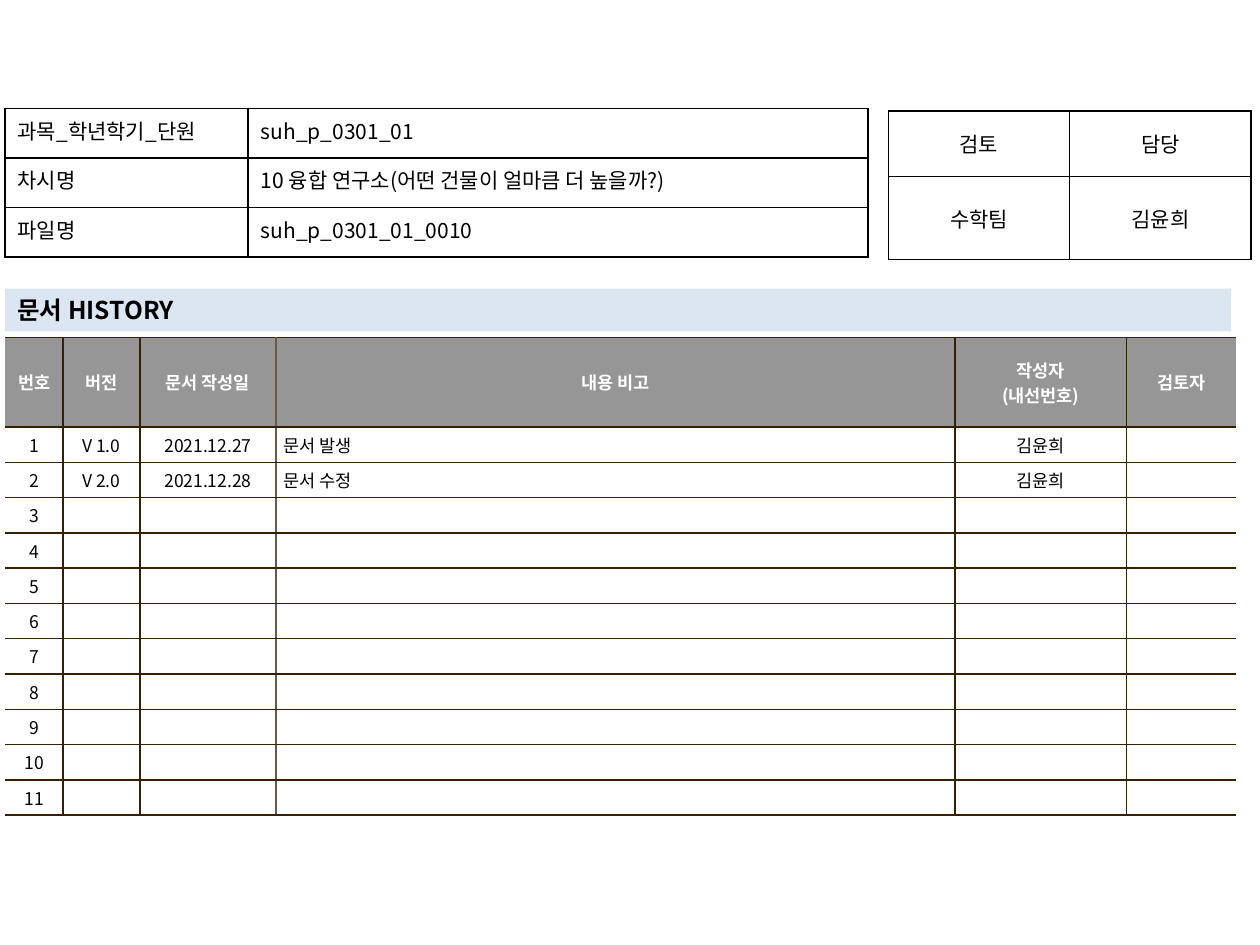
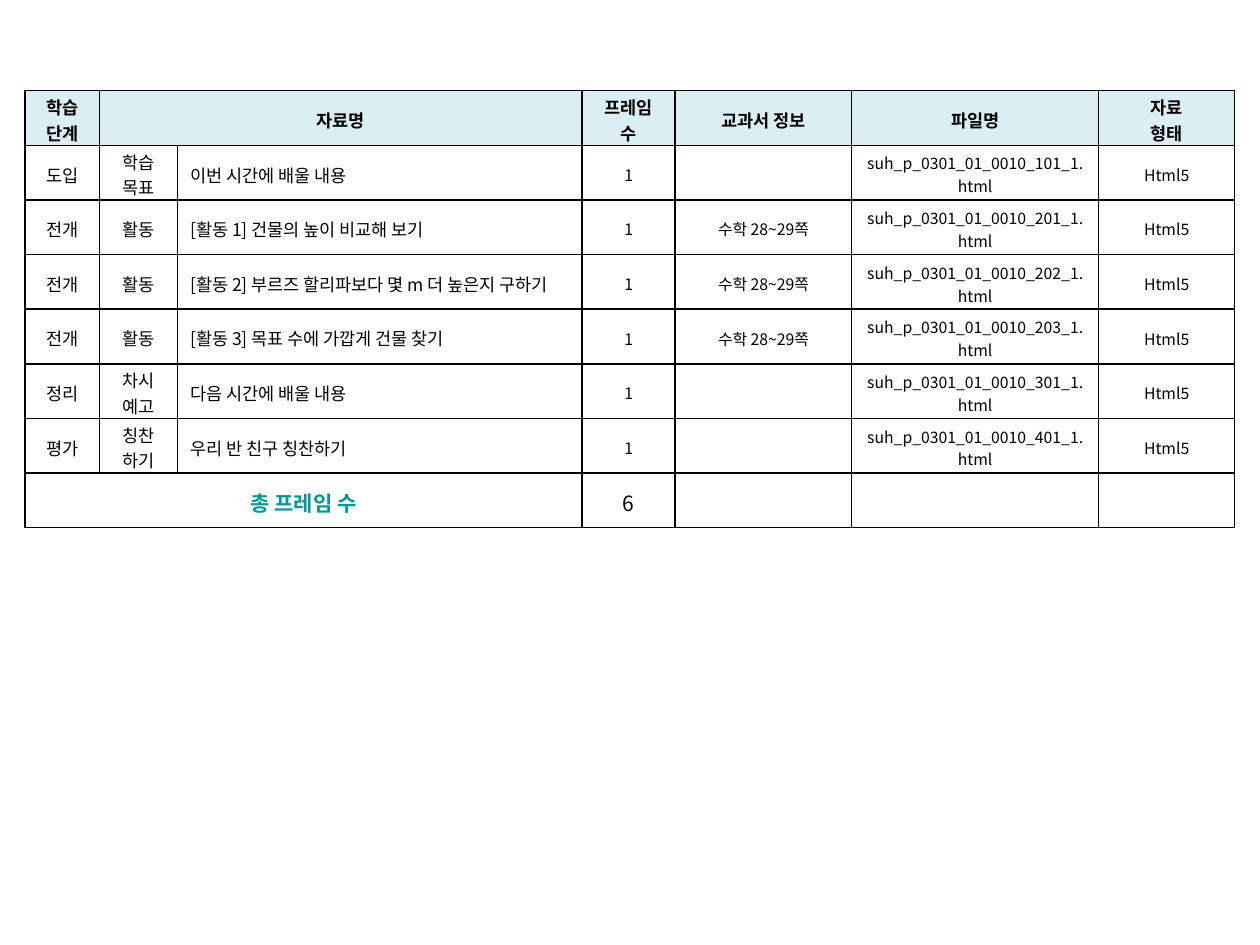
from lxml.etree import SubElement as Sub
from pptx import Presentation
from pptx.dml.color import RGBColor
from pptx.enum.shapes import MSO_SHAPE as Shape
from pptx.enum.text import MSO_ANCHOR as Anchor, PP_ALIGN as Align
from pptx.oxml.ns import qn
from pptx.util import Inches, Pt

WIDE, HIGH = Inches(10), Inches(7.5)
FONT = "Noto Sans CJK KR"
BLACK, WHITE, TEAL = "000000", "FFFFFF", "009999"
BROWN, TAUPE, GRAY = "362000", "645B4C", "969696"
BAND, HEAD = "DCE6F2", "DBEEF4"
LEFT, MID, JUST = Align.LEFT, Align.CENTER, Align.JUSTIFY


def color(code):
    return RGBColor.from_string(code)


def place(box):
    """Turn percentages of the slide into lengths."""
    return [round(part * full / 100) for part, full in zip(box, (WIDE, HIGH) * 2)]


def write(frame, text, size=10, ink=BLACK, bold=False, align=MID):
    for i, line in enumerate(text.split("\n")):
        para = frame.add_paragraph() if i else frame.paragraphs[0]
        para.alignment = align
        if not line:
            Sub(para._p, qn("a:endParaRPr"), sz=str(size * 100))
            continue
        run = para.add_run()
        run.text = line
        font = run.font
        font.name, font.size, font.bold = FONT, Pt(size), bold
        font.color.rgb = color(ink)
        Sub(font._element, qn("a:ea"), typeface=FONT)


def border(cell, edges):
    """Draw 1 pt edges; a side without a colour stays bare."""
    props = cell._tc.get_or_add_tcPr()
    for side in "LRTB":
        ink = edges.get(side)
        line = Sub(props, qn("a:ln" + side), w=str(Pt(1) if ink else 0))
        if ink:
            fill = Sub(line, qn("a:solidFill"))
            Sub(fill, qn("a:srgbClr"), val=ink)
        else:
            Sub(line, qn("a:noFill"))


def grid(slide, box, cols, rows, data, style, edge, pads, spans=()):
    """Place a table; cols and rows are relative sizes within the box."""
    left, top, width, height = place(box)
    frame = slide.shapes.add_table(len(rows), len(cols), left, top, width, height)
    table = frame.table
    table.first_row = table.horz_banding = False
    for col, part in zip(table.columns, cols):
        col.width = round(width * part / sum(cols))
    for row, part in zip(table.rows, rows):
        row.height = round(height * part / sum(rows))
    for r, line in enumerate(data):
        for c, text in enumerate(line):
            cell, form = table.cell(r, c), dict(style(r, c))
            fill = form.pop("fill", None)
            anchor = form.pop("anchor", Anchor.MIDDLE)
            border(cell, edge(r, c))
            if fill:
                cell.fill.solid()
                cell.fill.fore_color.rgb = color(fill)
            else:
                cell.fill.background()
            cell.vertical_anchor = anchor
            (cell.margin_left, cell.margin_top,
             cell.margin_right, cell.margin_bottom) = map(Inches, pads)
            write(cell.text_frame, text, **form)
    for r, start, end in spans:
        table.cell(r, start).merge(table.cell(r, end))


def boxed(r, c):
    return dict.fromkeys("LRTB", BLACK)


# Cover: file details, sign-off and document history
def details(slide, box):
    data = [["과목_학년학기_단원", "suh_p_0301_01"],
            ["차시명", "10 융합 연구소(어떤 건물이 얼마큼 더 높을까?)"],
            ["파일명", "suh_p_0301_01_0010"]]

    def style(r, c):
        return dict(size=12, align=LEFT if c else JUST, anchor=Anchor.TOP)

    grid(slide, box, [193, 492], [1] * 3, data, style, boxed, (.1, .05, .1, .05))


def signoff(slide, box):
    data = [["검토", "담당"], ["수학팀", "김윤희"]]
    grid(slide, box, [1, 1], [52, 66], data, lambda r, c: dict(size=12),
         boxed, (.1, .05, .1, .05))


def band(slide, box, text):
    bar = slide.shapes.add_shape(Shape.RECTANGLE, *place(box))
    bar.shadow.inherit = False
    bar.fill.solid()
    bar.fill.fore_color.rgb = color(BAND)
    bar.line.fill.background()
    frame = bar.text_frame
    frame.word_wrap = True
    frame.vertical_anchor = Anchor.MIDDLE
    write(frame, text, size=14, bold=True, align=LEFT)


def history(slide, box):
    count, cols = 11, [46, 61, 108, 539, 136, 87]
    last = len(cols) - 1
    data = [["번호", "버전", "문서 작성일", "내용 비고", "작성자\n(내선번호)", "검토자"],
            ["1", "V 1.0", "2021.12.27", "문서 발생", "김윤희", ""],
            ["2", "V 2.0", "2021.12.28", "문서 수정", "김윤희", ""]]
    data += [[str(n)] + [""] * last for n in range(len(data), count + 1)]

    def style(r, c):
        if r == 0:
            return dict(fill=GRAY, ink=WHITE, bold=True)
        return dict(fill=WHITE, align=LEFT if c == 3 else MID)

    def edge(r, c):
        inks = [None, BROWN, BROWN, TAUPE, BROWN, BROWN, None]
        return dict(L=inks[c], R=inks[c + 1], T=BROWN, B=BROWN)

    grid(slide, box, cols, [71] + [28] * count, data, style, edge,
         (.06, .04, .06, .04))


def cover(slide):
    history(slide, (.4, 35.73, 97.7, 50.53))
    signoff(slide, (70.5, 11.73, 28.8, 15.73))
    band(slide, (.4, 30.53, 97.3, 4.53), "문서 HISTORY")
    details(slide, (.4, 11.47, 68.5, 15.73))


# Lesson plan: one row for each file
def plan(slide, box):
    pages = "수학 28~29쪽"
    steps = [("도입", "학습 목표", "이번 시간에 배울 내용", "", 101),
             ("전개", "활동", "[활동 1] 건물의 높이 비교해 보기", pages, 201),
             ("전개", "활동", "[활동 2] 부르즈 할리파보다 몇 m 더 높은지 구하기", pages, 202),
             ("전개", "활동", "[활동 3] 목표 수에 가깝게 건물 찾기", pages, 203),
             ("정리", "차시 예고", "다음 시간에 배울 내용", "", 301),
             ("평가", "칭찬\n하기", "우리 반 친구 칭찬하기", "", 401)]
    data = [["학습 단계", "자료명", "", "프레임 수", "교과서 정보", "파일명", "자료\n형태"]]
    data += [[stage, kind, name, "1", page,
              f"suh_p_0301_01_0010_{code}_1.html", "Html5"]
             for stage, kind, name, page, code in steps]
    data.append(["총 프레임 수", "", "", str(len(steps)), "", "", ""])
    end = len(data) - 1

    def style(r, c):
        if r == 0:
            return dict(fill=HEAD, bold=True)
        if r == end:
            return dict(size=12, ink=BLACK if c else TEAL, bold=c == 0)
        return dict(size=10 if c < 3 else 9, align=LEFT if c == 2 else MID)

    grid(slide, box, [59, 62, 321, 74, 140, 196, 108], [1] * len(data), data,
         style, boxed, (.1, .03, .1, 0), spans=[(0, 1, 2), (end, 0, 2)])


def main():
    deck = Presentation()
    deck.slide_width, deck.slide_height = WIDE, HIGH
    blank = deck.slide_layouts[6]
    cover(deck.slides.add_slide(blank))
    plan(deck.slides.add_slide(blank), (2, 9.6, 96, 46.27))
    deck.save("out.pptx")


if __name__ == "__main__":
    main()
